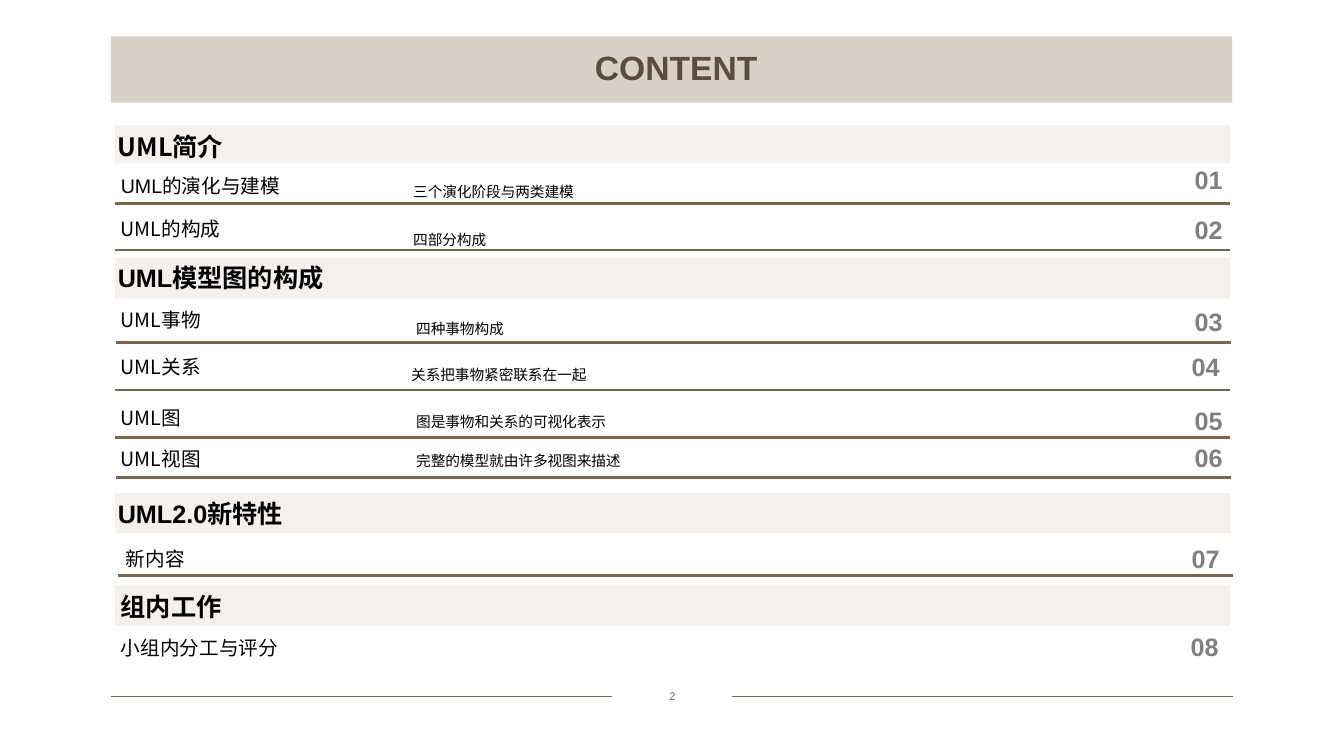
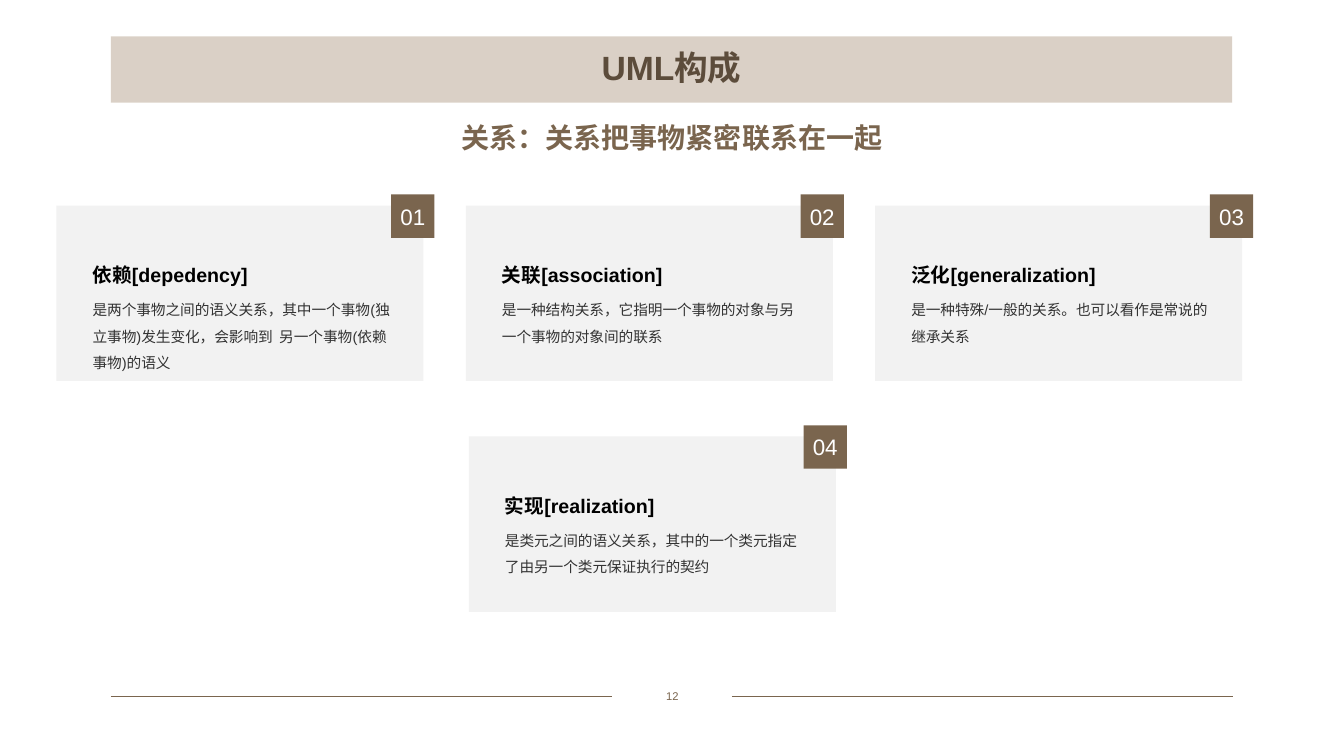
from dataclasses import dataclass
from typing import NamedTuple

from lxml import etree
from pptx import Presentation
from pptx.dml.color import RGBColor
from pptx.enum.shapes import MSO_CONNECTOR, MSO_SHAPE
from pptx.enum.text import MSO_ANCHOR, MSO_AUTO_SIZE, PP_ALIGN
from pptx.oxml.ns import qn
from pptx.util import Inches, Pt

RECT = MSO_SHAPE.RECTANGLE
STRAIGHT = MSO_CONNECTOR.STRAIGHT
TOP, MIDDLE = MSO_ANCHOR.TOP, MSO_ANCHOR.MIDDLE
LEFT, CENTER = PP_ALIGN.LEFT, PP_ALIGN.CENTER
FIT_SHAPE, NO_FIT = MSO_AUTO_SIZE.SHAPE_TO_FIT_TEXT, MSO_AUTO_SIZE.NONE
TITLE_ONLY = 5


@dataclass(frozen=True)
class Theme:
    """Colours, fonts and type sizes of the deck."""

    brown: str = "7A654E"
    dark_brown: str = "5C4C3B"
    title_band: str = "B6A38E"
    section_band: str = "8A7054"
    gray: str = "808080"
    body: str = "333333"
    black: str = "000000"
    white: str = "FFFFFF"
    latin: str = "Arial"
    cjk: str = "Noto Sans CJK SC"
    title_size: float = 24
    subtitle_size: float = 20
    section_size: float = 18
    badge_size: float = 16
    label_size: float = 14
    body_size: float = 10.5
    footer_size: float = 8


T = Theme()


class Style(NamedTuple):
    """Look of one kind of text."""

    size: float
    color: str
    bold: bool = False
    align: PP_ALIGN = LEFT
    anchor: MSO_ANCHOR = TOP
    spacing: float | None = None
    wrap: bool = True


TITLE = Style(T.title_size, T.dark_brown, True, CENTER, MIDDLE, 0.9)
SUBTITLE = Style(T.subtitle_size, T.brown, True, CENTER)
SECTION = Style(T.section_size, T.black, True, anchor=MIDDLE)
NUMBER = Style(T.section_size, T.gray, True, wrap=False)
LABEL = Style(T.label_size, T.black, anchor=MIDDLE)
DETAIL = Style(T.body_size, T.black, spacing=1.5)
CARD_HEAD = Style(T.label_size, T.black, True, spacing=1.5)
CARD_BODY = Style(T.body_size, T.body, spacing=1.5)
BADGE = Style(T.badge_size, T.white, align=CENTER, anchor=MIDDLE, wrap=False)
PAGE = Style(T.footer_size, T.brown, align=CENTER, anchor=MIDDLE, wrap=False)


class Section(NamedTuple):
    """Section heading with its band."""

    text: str
    band_y: float
    band_h: float
    x: float
    y: float
    font: str = T.latin


class Topic(NamedTuple):
    """Numbered row of the contents list."""

    label: str
    y: float
    number_at: tuple
    rule_at: tuple | None = None
    detail: str = ""
    detail_at: tuple = ()
    x: float = 1.1
    font: str = T.cjk


SECTIONS = [
    Section("UML简介", 1.24, 0.38, 1.07, 1.25, T.cjk),
    Section("UML模型图的构成", 2.56, 0.4, 1.07, 2.55),
    Section("UML2.0新特性", 4.89, 0.4, 1.07, 4.89),
    Section("组内工作", 5.81, 0.4, 1.1, 5.82),
]
TOPICS = [
    Topic("UML的演化与建模", 1.67, (11.75, 1.58), (1.14, 2.02),
          "三个演化阶段与两类建模", (4, 1.68), font=T.latin),
    Topic("UML的构成", 2.1, (11.75, 2.08), (1.14, 2.48), "四部分构成", (4, 2.15)),
    Topic("UML事物", 3, (11.75, 2.99), (1.15, 3.4), "四种事物构成", (4.03, 3.04)),
    Topic("UML关系", 3.47, (11.72, 3.44), (1.14, 3.87),
          "关系把事物紧密联系在一起", (3.98, 3.49)),
    Topic("UML图", 3.97, (11.75, 3.97), (1.14, 4.34),
          "图是事物和关系的可视化表示", (4.03, 3.96)),
    Topic("UML视图", 4.38, (11.75, 4.34), (1.15, 4.74),
          "完整的模型就由许多视图来描述", (4.03, 4.35)),
    Topic("新内容", 5.37, (11.72, 5.34), (1.17, 5.71), x=1.15, font=T.latin),
    Topic("小组内分工与评分", 6.26, (11.71, 6.21), font=T.latin),
]
RELATIONS = [
    ("依赖[depedency]",
     "是两个事物之间的语义关系，其中一个事物(独立事物)发生变化，会影响到  另一个事物(依赖事物)的语义"),
    ("关联[association]", "是一种结构关系，它指明一个事物的对象与另一个事物的对象间的联系"),
    ("泛化[generalization]", "是一种特殊/一般的关系。也可以看作是常说的继承关系"),
    ("实现[realization]", "是类元之间的语义关系，其中的一个类元指定了由另一个类元保证执行的契约"),
]
CARD_SPOTS = [(0.56 + 4.06 * col, 2.04) for col in range(3)] + [(4.65, 4.33)]
BAND_X, BAND_W = 1.14, 11.06


def write(shape, text, style, font=T.latin, fit=NO_FIT):
    """Fill a shape's text frame with one styled run."""
    tf = shape.text_frame
    tf.word_wrap = style.wrap
    tf.auto_size = fit
    tf.vertical_anchor = style.anchor
    p = tf.paragraphs[0]
    p.alignment = style.align
    if style.spacing:
        p.line_spacing = style.spacing
    r = p.add_run()
    r.text = text
    r.font.size = Pt(style.size)
    r.font.bold = style.bold
    r.font.color.rgb = RGBColor.from_string(style.color)
    r.font.name = font
    etree.SubElement(r.font._element, qn("a:ea"), typeface=T.cjk)


def paint(shape, color, opacity=100):
    """Give a shape a plain fill of some opacity and no outline."""
    shape.fill.solid()
    shape.fill.fore_color.rgb = RGBColor.from_string(color)
    shape.line.fill.background()
    if opacity < 100:
        clr = shape.element.spPr.find(qn("a:solidFill"))[0]
        etree.SubElement(clr, qn("a:alpha"), val=str(opacity * 1000))


def add_text(shapes, x, y, w, h, text, style, font=T.latin):
    """Add a text box."""
    box = shapes.add_textbox(Inches(x), Inches(y), Inches(w), Inches(h))
    write(box, text, style, font, FIT_SHAPE)


def add_box(shapes, x, y, w, h, color, opacity=100):
    """Add a filled rectangle."""
    box = shapes.add_shape(RECT, Inches(x), Inches(y), Inches(w), Inches(h))
    box.shadow.inherit = False
    paint(box, color, opacity)
    return box


def add_rule(shapes, x, y, w, weight):
    """Add a horizontal line."""
    rule = shapes.add_connector(STRAIGHT, Inches(x), Inches(y), Inches(x + w), Inches(y))
    rule.line.color.rgb = RGBColor.from_string(T.brown)
    rule.line.width = Pt(weight)
    etree.SubElement(rule.element.spPr, qn("a:effectLst"))


def add_slide(prs, title, page):
    """Add a slide with its title band and footer."""
    s = prs.slides.add_slide(prs.slide_layouts[TITLE_ONLY])
    band = s.shapes.title
    band.left, band.top = Inches(1.1), Inches(0.36)
    band.width, band.height = Inches(11.12), Inches(0.66)
    paint(band, T.title_band, 50)
    write(band, title, TITLE)
    for x in (1.1, 7.26):
        add_rule(s.shapes, x, 6.91, 4.97, 0.5)
    add_text(s.shapes, 6.5, 6.79, 0.34, 0.24, str(page), PAGE)
    return s


def add_section(shapes, section):
    """Add a section heading on its band."""
    add_box(shapes, BAND_X, section.band_y, BAND_W, section.band_h, T.section_band, 10)
    add_text(shapes, section.x, section.y, 8.14, 0.4, section.text, SECTION, section.font)


def add_topic(shapes, number, topic):
    """Add a contents row with label, detail, number and rule."""
    add_text(shapes, topic.x, topic.y, 2.15, 0.34, topic.label, LABEL, topic.font)
    add_text(shapes, *topic.number_at, 0.48, 0.4, f"{number:02}", NUMBER)
    if topic.detail:
        add_text(shapes, *topic.detail_at, 3.71, 0.33, topic.detail, DETAIL)
    if topic.rule_at:
        add_rule(shapes, *topic.rule_at, BAND_W, 2)


def add_card(shapes, x, y, number, head, body):
    """Add a grouped card with a numbered badge on its corner."""
    card = shapes.add_group_shape().shapes
    add_box(card, x, y, 3.64, 1.74, T.gray, 10)
    add_text(card, x + 0.26, y + 0.81, 3.21, 0.6, body, CARD_BODY)
    add_text(card, x + 0.26, y + 0.4, 3.21, 0.41, head, CARD_HEAD)
    badge = add_box(card, x + 3.32, y - 0.11, 0.43, 0.43, T.brown)
    write(badge, f"{number:02}", BADGE)


def build_contents(prs):
    """Build the contents slide."""
    s = add_slide(prs, " CONTENT", 2)
    for section in SECTIONS:
        add_section(s.shapes, section)
    for number, topic in enumerate(TOPICS, 1):
        add_topic(s.shapes, number, topic)


def build_relations(prs):
    """Build the slide on the four relations."""
    s = add_slide(prs, "UML构成", 12)
    add_text(s.shapes, 2.34, 1.15, 8.65, 0.77, "关系：关系把事物紧密联系在一起", SUBTITLE)
    for number, (spot, relation) in enumerate(zip(CARD_SPOTS, RELATIONS), 1):
        add_card(s.shapes, *spot, number, *relation)


def main():
    """Build and save the deck."""
    prs = Presentation()
    prs.slide_width, prs.slide_height = Inches(13.33), Inches(7.5)
    build_contents(prs)
    build_relations(prs)
    prs.save("out.pptx")


if __name__ == "__main__":
    main()
